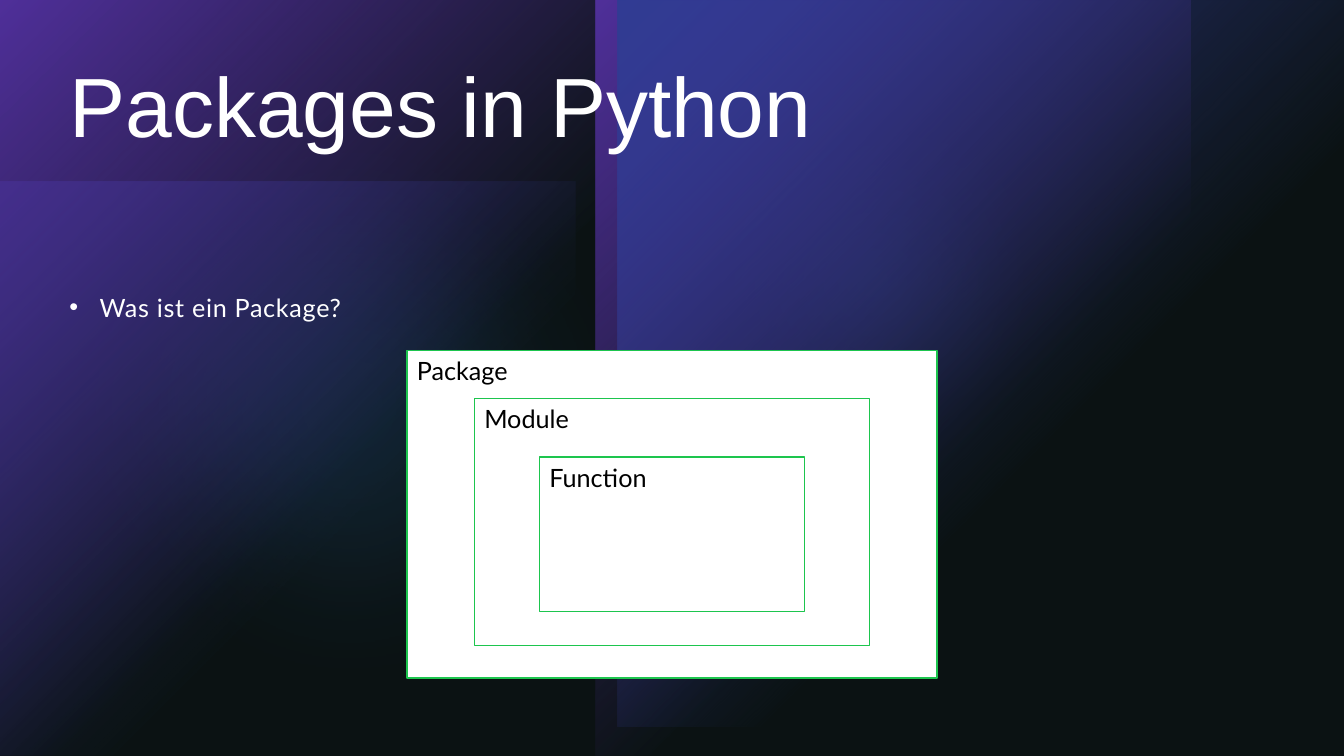
from dataclasses import dataclass

from lxml.etree import SubElement
from pptx import Presentation
from pptx.dml.color import RGBColor
from pptx.enum.shapes import MSO_SHAPE
from pptx.enum.text import MSO_ANCHOR, PP_ALIGN
from pptx.oxml import parse_xml
from pptx.oxml.ns import nsdecls, qn
from pptx.shapes.autoshape import Shape
from pptx.slide import Slide
from pptx.text.text import _Paragraph
from pptx.util import Cm, Pt

BLACK = RGBColor(0x00, 0x00, 0x00)
WHITE = RGBColor(0xFF, 0xFF, 0xFF)
GREEN = RGBColor(0x1D, 0xC5, 0x4E)
BLUE = RGBColor(0x30, 0x81, 0xE0)
INDIGO = RGBColor(0x3F, 0x45, 0xD5)
PURPLE = RGBColor(0x72, 0x30, 0xE0)
SLATE = RGBColor(0x1C, 0x2F, 0x31)

WIDE, HIGH = 33.87, 19.05
MARGIN = 1.5
TEXT_WIDE = WIDE - 2 * MARGIN


@dataclass
class Area:
    left: float
    top: float
    width: float
    height: float


@dataclass
class Glow:
    """A colour patch: alpha in percent, soft edge in points."""
    area: Area
    color: RGBColor
    alpha: int = 100
    soft: int = 0


@dataclass
class Box:
    label: str
    top: float
    width: float
    height: float


BACK = [
    Glow(Area(0, 4.57, 14.5, 14.48), INDIGO, 60),
    Glow(Area(15.98, 1.09, 11.99, 11.99), BLUE, 60, 100),
    Glow(Area(0, 1.42, 17.63, 17.63), BLUE, 20, 100),
    Glow(Area(0, 0, 15, HIGH), PURPLE),
    Glow(Area(15, 0, 15, HIGH), PURPLE),
    Glow(Area(15.56, 0, 18.31, 18.31), INDIGO),
]

NEST = [
    Box("Package", 8.83, 13.36, 8.26),
    Box("Module", 10.05, 9.96, 6.22),
    Box("Function", 11.52, 6.68, 3.89),
]


def add_form(slide: Slide, kind: MSO_SHAPE, area: Area) -> Shape:
    form = slide.shapes.add_shape(kind, Cm(area.left), Cm(area.top),
                                  Cm(area.width), Cm(area.height))
    form.shadow.inherit = False
    form.line.fill.background()
    return form


def fill_clear(form: Shape, color: RGBColor, alpha: int) -> None:
    """Fill with one partly transparent colour."""
    form.fill.solid()
    form.fill.fore_color.rgb = color
    tone = form.fill._xPr.find(f".//{qn('a:srgbClr')}")
    SubElement(tone, qn("a:alpha"), val=str(alpha * 1000))


def fill_fade(form: Shape, color: RGBColor, alpha: int) -> None:
    """Fade the colour out from the top left corner."""
    stops = "".join(
        f'<a:gs pos="{pos}"><a:srgbClr val="{color}">'
        f'<a:alpha val="{part * 1000}"/></a:srgbClr></a:gs>'
        for pos, part in ((0, alpha), (60000, 0)))
    form.fill.background()
    props = form.fill._xPr
    props.replace(props.find(qn("a:noFill")), parse_xml(
        f'<a:gradFill {nsdecls("a")}><a:gsLst>{stops}</a:gsLst>'
        '<a:path path="circle"><a:fillToRect r="100000" b="100000"/></a:path>'
        '</a:gradFill>'))


def add_glow(slide: Slide, glow: Glow) -> None:
    if glow.soft:
        form = add_form(slide, MSO_SHAPE.OVAL, glow.area)
        fill_clear(form, glow.color, glow.alpha)
        effects = form.fill._xPr.find(qn("a:effectLst"))
        SubElement(effects, qn("a:softEdge"), rad=str(Pt(glow.soft)))
    else:
        form = add_form(slide, MSO_SHAPE.RECTANGLE, glow.area)
        fill_fade(form, glow.color, glow.alpha)


def style(par: _Paragraph, font: str, size: int, color: RGBColor) -> None:
    for run in par.runs:
        run.font.name = font
        run.font.size = Pt(size)
        run.font.color.rgb = color


def add_text(slide: Slide, area: Area, text: str) -> _Paragraph:
    frame = slide.shapes.add_textbox(Cm(area.left), Cm(area.top), Cm(area.width),
                                     Cm(area.height)).text_frame
    frame.word_wrap = True
    frame.text = text
    return frame.paragraphs[0]


def add_box(slide: Slide, box: Box) -> None:
    """Draw a labelled frame, centred across the slide."""
    left = (WIDE - box.width) / 2
    form = add_form(slide, MSO_SHAPE.RECTANGLE,
                    Area(left, box.top, box.width, box.height))
    form.fill.solid()
    form.fill.fore_color.rgb = WHITE
    form.line.color.rgb = GREEN
    form.line.width = Pt(1)
    frame = form.text_frame
    frame.text = box.label
    frame.vertical_anchor = MSO_ANCHOR.TOP
    par = frame.paragraphs[0]
    par.alignment = PP_ALIGN.LEFT
    style(par, "Lato", 18, BLACK)


def main() -> None:
    deck = Presentation()
    deck.slide_width, deck.slide_height = Cm(WIDE), Cm(HIGH)
    slide = deck.slides.add_slide(deck.slide_layouts[6])
    slide.background.fill.solid()
    slide.background.fill.fore_color.rgb = BLACK

    for glow in BACK:
        add_glow(slide, glow)
    veil = add_form(slide, MSO_SHAPE.RECTANGLE, Area(0, 0, WIDE, HIGH))
    fill_clear(veil, SLATE, 40)

    title = add_text(slide, Area(MARGIN, 1.5, TEXT_WIDE, 5.03), "Packages in Python")
    title.line_spacing = 0.9
    style(title, "Arial", 60, WHITE)

    point = add_text(slide, Area(MARGIN, 7.04, TEXT_WIDE, 10.49), "Was ist ein Package?")
    point.line_spacing = 1.25
    props = point._p.get_or_add_pPr()
    props.set("marL", str(Cm(0.76)))
    props.set("indent", str(Cm(-0.76)))
    SubElement(props, qn("a:buFont"), typeface="Arial")
    SubElement(props, qn("a:buChar"), char="•")
    style(point, "Lato", 18, WHITE)
    point.runs[0].font._rPr.set("spc", "50")

    for box in NEST:
        add_box(slide, box)
    deck.save("out.pptx")


if __name__ == "__main__":
    main()
